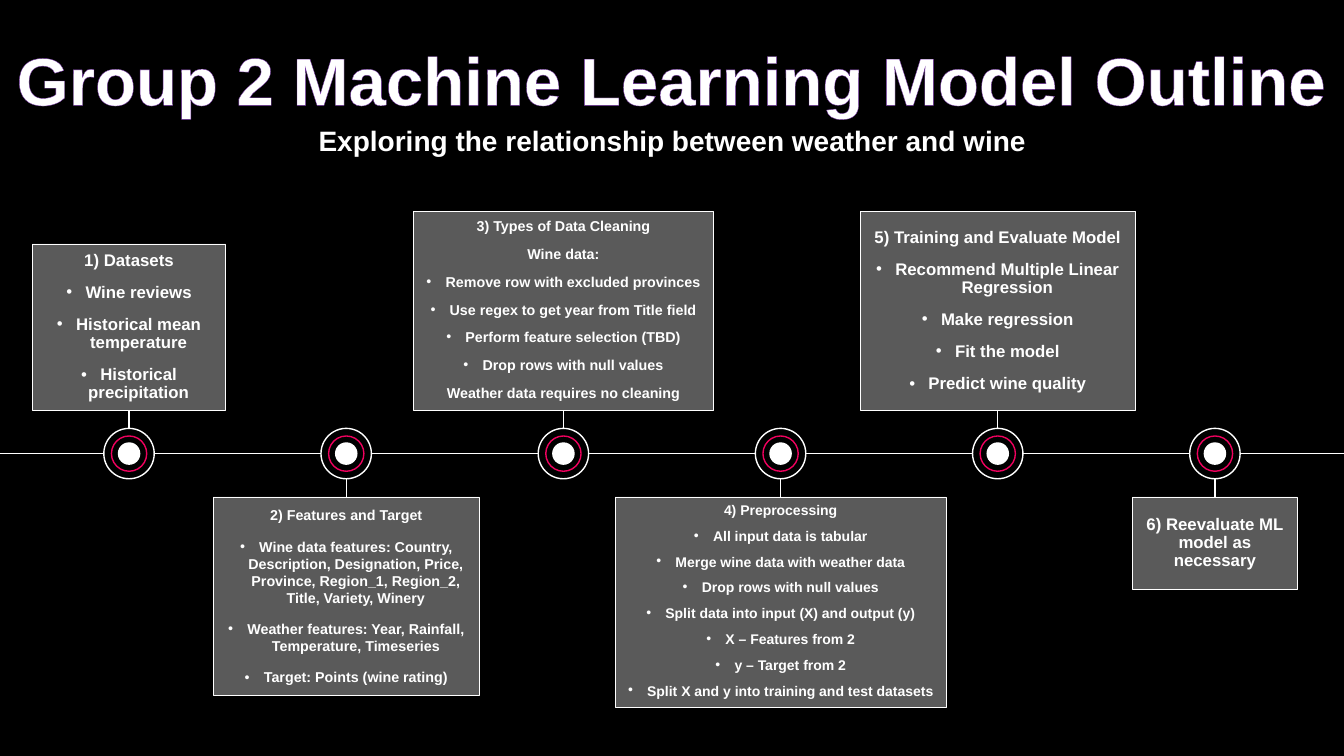
from lxml import etree
from pptx import Presentation
from pptx.dml.color import RGBColor
from pptx.enum.shapes import MSO_CONNECTOR, MSO_SHAPE
from pptx.enum.text import MSO_ANCHOR, MSO_AUTO_SIZE, PP_ALIGN
from pptx.oxml.ns import qn
from pptx.util import Inches, Pt

STRAIGHT = MSO_CONNECTOR.STRAIGHT
OVAL, RECT = MSO_SHAPE.OVAL, MSO_SHAPE.RECTANGLE
TOP, MIDDLE, BOTTOM = MSO_ANCHOR.TOP, MSO_ANCHOR.MIDDLE, MSO_ANCHOR.BOTTOM
CENTER, NO_FIT = PP_ALIGN.CENTER, MSO_AUTO_SIZE.NONE

BLACK = RGBColor(0x00, 0x00, 0x00)
WHITE = RGBColor(0xFF, 0xFF, 0xFF)
GREY = RGBColor(0x96, 0x96, 0x96)
PINK = RGBColor(0xF0, 0x01, 0x5E)
PURPLE = RGBColor(0x70, 0x30, 0xA0)
FONT = "Arial"

# Content
TITLE = "Group 2 Machine Learning Model Outline"
SUBTITLE = "Exploring the relationship between weather and wine"

# One card per step: width, height, font size, line spacing, heads, bullets, closing lines
STEPS = [
    (1.92, 1.65, 12, 0.9, ["1) Datasets"],
     ["Wine reviews", "Historical mean temperature", "Historical precipitation"], []),
    (2.64, 1.97, 10.2, 1.0, ["2) Features and Target"],
     ["Wine data features: Country, Description, Designation, Price, Province, "
      "Region_1, Region_2, Title, Variety, Winery",
      "Weather features: Year, Rainfall, Temperature, Timeseries",
      "Target: Points (wine rating)"], []),
    (2.98, 1.97, 10.2, 0.8, ["3) Types of Data Cleaning", "Wine data:"],
     ["Remove row with excluded provinces", "Use regex to get year from Title field",
      "Perform feature selection (TBD)", "Drop rows with null values"],
     ["Weather data requires no cleaning"]),
    (3.28, 2.09, 10, 0.7, ["4) Preprocessing"],
     ["All input data is tabular", "Merge wine data with weather data",
      "Drop rows with null values", "Split data into input (X) and output (y)",
      "X – Features from 2", "y – Target from 2",
      "Split X and y into training and test datasets"], []),
    (2.73, 1.97, 12, 0.9, ["5) Training and Evaluate Model"],
     ["Recommend Multiple Linear Regression", "Make regression", "Fit the model",
      "Predict wine quality"], []),
    (1.63, 0.92, 12, 0.9, ["6) Reevaluate ML model as necessary"], [], []),
]

# Timeline geometry
SLIDE_W, SLIDE_H = 13.33, 7.5
AXIS_Y = 4.5
FIRST_X, LAST_X = 1.28, 12.05
PITCH = (LAST_X - FIRST_X) / (len(STEPS) - 1)
CARD_GAP = 0.43
RINGS = [(0.5, WHITE, False), (0.35, PINK, False), (0.21, WHITE, True)]
RADIUS = RINGS[0][0] / 2


def style_run(r, size):
    r.font.name = FONT
    r.font.size = Pt(size)
    r.font.bold = True
    r.font.color.rgb = WHITE


def add_line(x1, y1, x2, y2):
    line = s.shapes.add_connector(STRAIGHT, Inches(x1), Inches(y1), Inches(x2), Inches(y2))
    line.line.color.rgb = WHITE
    line.line.width = Pt(1)
    etree.SubElement(line._element.spPr, qn("a:effectLst"))
    return line


def add_shape(kind, x, y, w, h, line_color, line_width):
    sp = s.shapes.add_shape(kind, Inches(x), Inches(y), Inches(w), Inches(h))
    sp.shadow.inherit = False
    sp.line.color.rgb = line_color
    sp.line.width = Pt(line_width)
    return sp


def set_bullet(p):
    pPr = p._p.get_or_add_pPr()
    pPr.set("marL", str(Inches(0.19)))
    pPr.set("indent", str(-Inches(0.19)))
    etree.SubElement(pPr, qn("a:buFont"), typeface=FONT)
    etree.SubElement(pPr, qn("a:buChar"), char="•")


def fill_placeholder(sp, text, box, size, spacing, anchor):
    sp.left, sp.top, sp.width, sp.height = [Inches(v) for v in box]
    tf = sp.text_frame
    tf.text = text
    tf.word_wrap = True
    tf.auto_size = NO_FIT
    tf.vertical_anchor = anchor
    p = tf.paragraphs[0]
    p.alignment = CENTER
    p.line_spacing = spacing
    p.space_before = Pt(0)
    style_run(p.runs[0], size)
    return p.runs[0]


def add_card(cx, above, w, h, size, spacing, heads, bullets, closing):
    y = AXIS_Y - CARD_GAP - h if above else AXIS_Y + CARD_GAP
    card = add_shape(RECT, cx - w / 2, y, w, h, WHITE, 0.5)
    card.fill.solid()
    card.fill.fore_color.rgb = GREY
    color = card._element.spPr.find(qn("a:solidFill"))[0]
    etree.SubElement(color, qn("a:alpha"), val="60000")
    tf = card.text_frame
    tf.word_wrap = True
    tf.vertical_anchor = MIDDLE
    lines = heads + bullets + closing
    tf.text = "\n".join(lines)
    for i, p in enumerate(tf.paragraphs):
        p.alignment = CENTER
        p.line_spacing = spacing
        p.space_before = Pt(10 if i else 0)
        if lines[i] in bullets:
            set_bullet(p)
        style_run(p.runs[0], size)
    return card


prs = Presentation()
prs.slide_width, prs.slide_height = Inches(SLIDE_W), Inches(SLIDE_H)
s = prs.slides.add_slide(prs.slide_layouts[0])
s.background.fill.solid()
s.background.fill.fore_color.rgb = BLACK

# Title with a thin purple outline, and subtitle
r = fill_placeholder(s.shapes.title, TITLE, (0, 0.39, SLIDE_W, 0.85), 48, 0.9, BOTTOM)
outline = etree.Element(qn("a:ln"), w=str(Pt(0.75)))
outline_fill = etree.SubElement(outline, qn("a:solidFill"))
etree.SubElement(outline_fill, qn("a:srgbClr"), val=str(PURPLE))
r.font._element.insert(0, outline)
fill_placeholder(s.placeholders[1], SUBTITLE, (1.67, 1.24, 10, 0.39), 20, 0.8, TOP)

# Axis segments between the nodes
centers = [FIRST_X + i * PITCH for i in range(len(STEPS))]
starts = [0] + [cx + RADIUS for cx in centers]
ends = [cx - RADIUS for cx in centers] + [SLIDE_W]
for x1, x2 in zip(starts, ends):
    add_line(x1, AXIS_Y, x2, AXIS_Y)

# Nodes, cards and stems, alternating above and below the axis
for i, (cx, step) in enumerate(zip(centers, STEPS)):
    for d, color, filled in RINGS:
        ring = add_shape(OVAL, cx - d / 2, AXIS_Y - d / 2, d, d, color, 1)
        if filled:
            ring.fill.solid()
            ring.fill.fore_color.rgb = color
        else:
            ring.fill.background()
    above = i % 2 == 0
    card = add_card(cx, above, *step)
    side = -1 if above else 1
    stem = add_line(cx, AXIS_Y + side * RADIUS, cx, AXIS_Y + side * CARD_GAP)
    stem.end_connect(card, 2 if above else 0)

prs.save("out.pptx")
